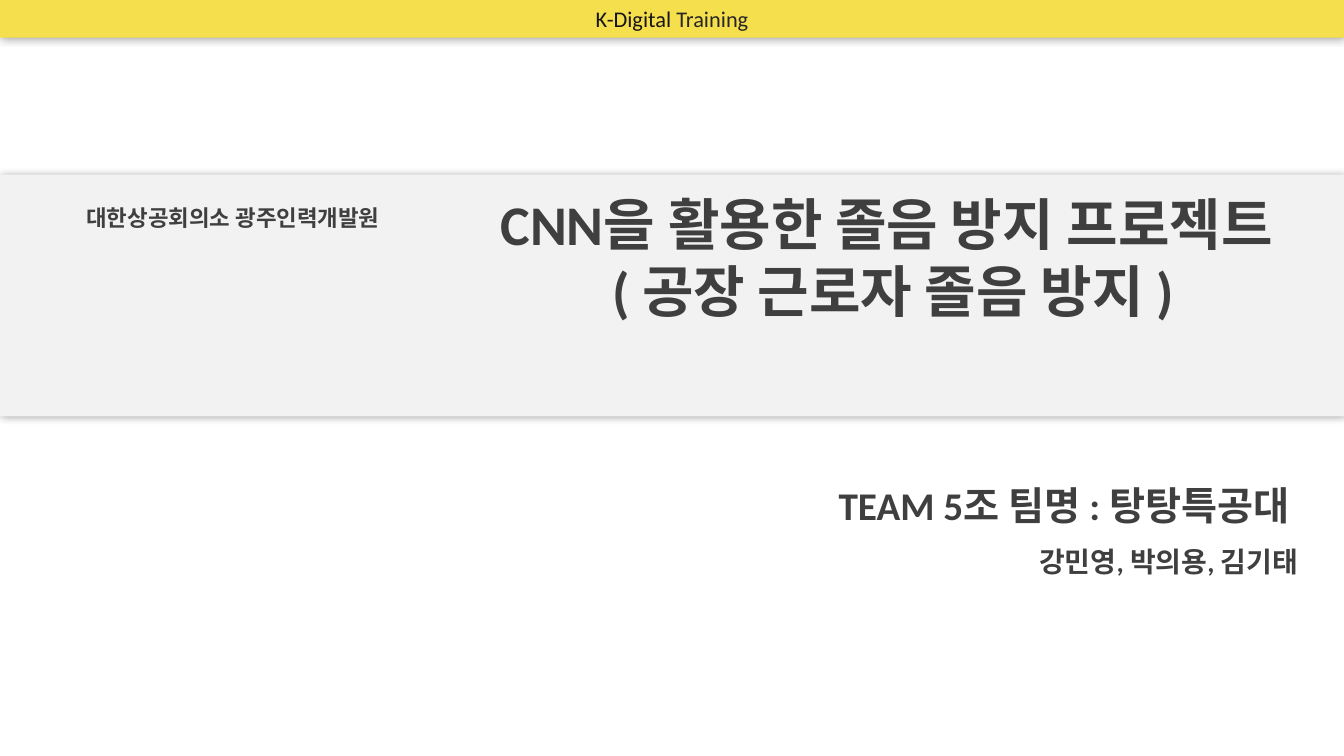
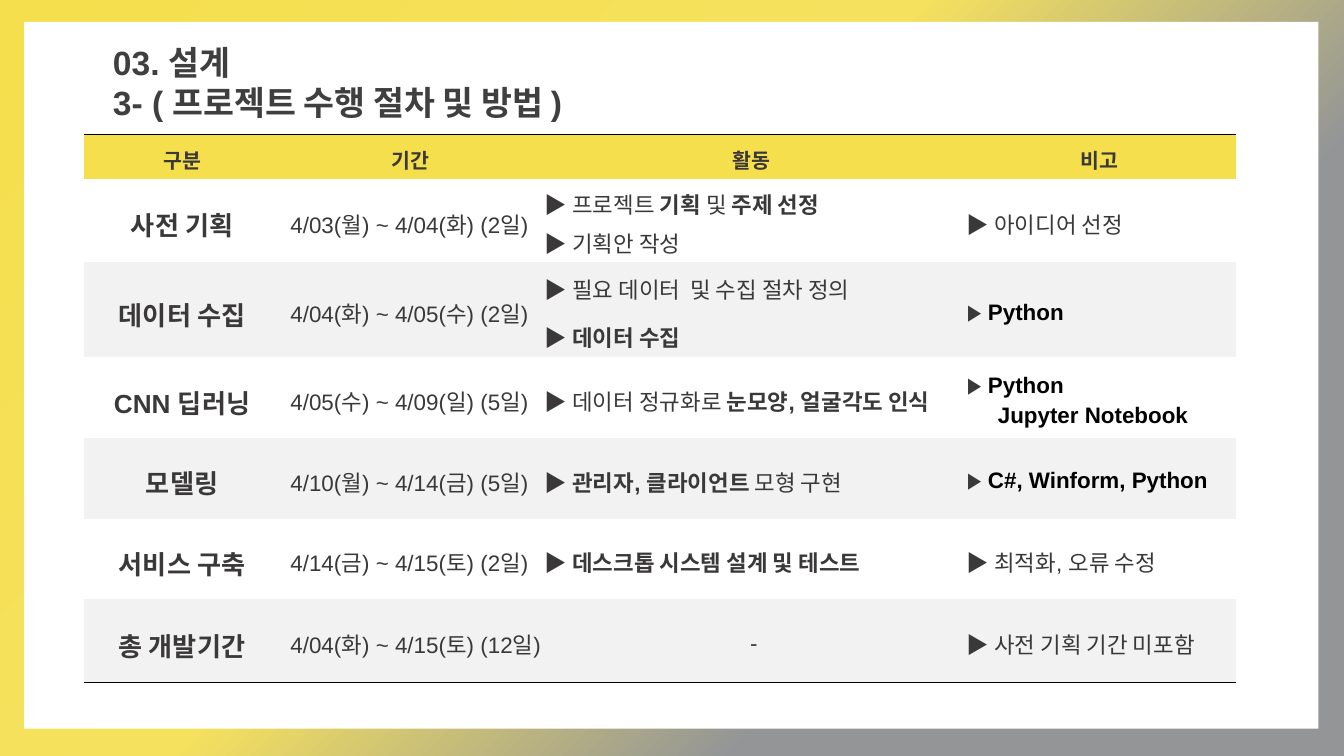
from dataclasses import dataclass

from lxml import etree
from pptx import Presentation
from pptx import util as u
from pptx.dml import color
from pptx.enum import shapes, text
from pptx.oxml import ns

W = 10
H = W * 9 / 16
PAGE = (0, 0, W, H)
YELLOW, GREY, PALE, WHITE, BLACK = "F5DF4D", "939597", "F2F2F2", "FFFFFF", "000000"
INK, TABLE_INK = "3F3F3F", "3A3838"
LEFT, CENTER, RIGHT = text.PP_ALIGN.LEFT, text.PP_ALIGN.CENTER, text.PP_ALIGN.RIGHT
INSETS = (0.07, 0.04, 0.07, 0.04)
PLAIN_TABLE = "{2D5ABB26-0587-4C30-8999-92F81FD0307C}"


@dataclass
class Run:
    """A stretch of text with one look."""
    text: str
    size: float = 12
    bold: bool = False
    hex: str = TABLE_INK
    font: str = "Arial"


def rgb(hex_color):
    """Turn a hex string into a colour."""
    return color.RGBColor.from_string(hex_color)


def sub(box, x, y, w, h):
    """Return the part of a box given in percent of its width and height."""
    left, top, width, height = box
    return (left + width * x / 100, top + height * y / 100,
            width * w / 100, height * h / 100)


def inches(values):
    """Convert numbers to inch lengths."""
    return [u.Inches(v) for v in values]


def add_xml(parent, tag, **attrs):
    """Append a drawing element to its parent."""
    return etree.SubElement(parent, ns.qn(tag), {k: str(v) for k, v in attrs.items()})


def add_color(parent, hex_color, alpha=100):
    """Append a colour, see-through below 100 percent."""
    clr = add_xml(parent, "a:srgbClr", val=hex_color)
    if alpha < 100:
        add_xml(clr, "a:alpha", val=alpha * 1000)


def fill_paragraph(p, runs, align=LEFT, spacing=None):
    """Write runs into a paragraph, with a line break for each None."""
    p.alignment = align
    if spacing:
        p.line_spacing = spacing
    for run in runs:
        if run is None:
            p.add_line_break()
            continue
        r = p.add_run()
        r.text = run.text
        r.font.size = u.Pt(run.size)
        r.font.bold = run.bold
        r.font.name = run.font
        r.font.color.rgb = rgb(run.hex)


def fill_frame(tf, paragraphs, align, spacing=None):
    """Write a list of run lists into a text frame."""
    for i, runs in enumerate(paragraphs):
        p = tf.add_paragraph() if i else tf.paragraphs[0]
        fill_paragraph(p, runs, align, spacing)


def set_insets(holder, insets):
    """Set the inner margins of a text frame or cell."""
    (holder.margin_left, holder.margin_top,
     holder.margin_right, holder.margin_bottom) = inches(insets)


def add_label(s, box, paragraphs, align=LEFT, spacing=None, insets=INSETS):
    """Add a text box that grows with its text."""
    tf = s.shapes.add_textbox(*inches(box)).text_frame
    tf.word_wrap = True
    tf.auto_size = text.MSO_AUTO_SIZE.SHAPE_TO_FIT_TEXT
    set_insets(tf, insets)
    fill_frame(tf, paragraphs, align, spacing)


def add_band(s, box, hex_color, shadow=True):
    """Add a plain rectangle, with a soft shadow if wanted."""
    sp = s.shapes.add_shape(shapes.MSO_SHAPE.RECTANGLE, *inches(box))
    sp.fill.solid()
    sp.fill.fore_color.rgb = rgb(hex_color)
    sp.line.fill.background()
    sp.shadow.inherit = False
    if shadow:
        effects = sp._element.spPr.find(ns.qn("a:effectLst"))
        glow = add_xml(effects, "a:outerShdw", blurRad=u.Pt(5), dist=0, dir=0,
                       algn="ctr", rotWithShape=0)
        add_color(glow, BLACK, 40)
    return sp


def add_header(s, box):
    """Add the yellow programme strip."""
    tf = add_band(s, box, YELLOW).text_frame
    tf.vertical_anchor = text.MSO_ANCHOR.MIDDLE
    set_insets(tf, INSETS)
    runs = [Run("K-Digital ", 12, False, "171616", "Calibri"),
            Run("Training", 12, False, "262626", "Calibri")]
    fill_frame(tf, [runs], CENTER)


def add_project_band(s, box):
    """Add the grey band with the institute and the project title."""
    add_band(s, box, PALE)
    add_label(s, sub(box, 1.5, 10, 31.7, 15.5),
              [[Run("대한상공회의소 광주인력개발원", 12, True, INK, "Noto Sans CJK KR")]],
              CENTER)
    lines = ["CNN을 활용한 졸음 방지 프로젝트 ", "( 공장 근로자 졸음 방지 )"]
    add_label(s, sub(box, 35, 6.2, 62.9, 84.5),
              [[Run(line, 30, True, INK, "Calibri")] for line in lines],
              CENTER, insets=(0.07, 0, 0.07, 0))


def add_team(s, box):
    """Add the team name and its members."""
    lines = [("TEAM 5조 팀명 : 탕탕특공대 ", 21), ("강민영, 박의용, 김기태", 15)]
    add_label(s, box, [[Run(line, size, True, INK, "Calibri")] for line, size in lines],
              RIGHT, 1.5, (0.07, 0, 0.07, 0))


def build_cover(prs):
    """Build the cover slide."""
    s = prs.slides.add_slide(prs.slide_layouts[6])
    add_team(s, sub(PAGE, 55, 60.5, 42.3, 13.9))
    add_project_band(s, sub(PAGE, 0, 23.1, 100, 32))
    add_header(s, sub(PAGE, 0, 0, 100, 5))


def set_background(s):
    """Paint the slide with the diagonal yellow to grey gradient."""
    s.background.fill.gradient()
    grad = s.background._cSld.bg.bgPr.find(ns.qn("a:gradFill"))
    for child in list(grad):
        grad.remove(child)
    stops = add_xml(grad, "a:gsLst")
    for pos, hex_color, alpha in [(0, YELLOW, 100), (44, "F5E15E", 69),
                                  (71, GREY, 69), (100, GREY, 100)]:
        add_color(add_xml(stops, "a:gs", pos=pos * 1000), hex_color, alpha)
    add_xml(grad, "a:lin", ang=45 * 60000, scaled=0)


def set_rule(cell, side):
    """Draw a thin black rule on one side of a cell."""
    pr = cell._tc.get_or_add_tcPr()
    ln = etree.Element(ns.qn(side), w=str(u.Pt(0.75)))
    add_color(add_xml(ln, "a:solidFill"), BLACK)
    pr.insert(0, ln)


def fill_cell(cell, hex_color, paragraphs, align=LEFT, insets=(0.03, 0, 0, 0)):
    """Colour a cell and write its paragraphs."""
    cell.fill.solid()
    cell.fill.fore_color.rgb = rgb(hex_color)
    cell.vertical_anchor = text.MSO_ANCHOR.MIDDLE
    set_insets(cell, insets)
    fill_frame(cell.text_frame, paragraphs, align, 1.2)


def item(*runs):
    """Return the runs of a line that starts with an arrow mark."""
    return [Run("▶ ", bold=True), *runs]


def strong(words, hex_color=TABLE_INK):
    """Return a bold run."""
    return Run(words, bold=True, hex=hex_color)


HEADS = ["구분", "기간", "활동", "비고"]
COLUMNS = [1.46, 1.94, 3.14, 2.03]
ROWS = [0.33, 0.62, 0.71, 0.6, 0.6, 0.6, 0.62]
STEPS = [
    ("사전 기획", " 4/03(월) ~ 4/04(화) (2일)",
     [item(Run("프로젝트 "), strong("기획"), Run(" 및 "), strong("주제 선정")),
      item(Run("기획안 작성"))],
     [item(Run("아이디어 선정"))]),
    ("데이터 수집", " 4/04(화) ~ 4/05(수) (2일)",
     [item(Run("필요 데이터  및 수집 절차 정의", font="Calibri")), item(strong("데이터 수집"))],
     [item(strong("Python", BLACK))]),
    ("CNN 딥러닝", " 4/05(수) ~ 4/09(일) (5일)",
     [item(Run("데이터 정규화", font="Calibri"), Run("로 "), strong("눈모양, 얼굴각도 인식"))],
     [item(strong("Python ", BLACK), None, strong("Jupyter Notebook", BLACK))]),
    ("모델링", " 4/10(월) ~ 4/14(금) (5일)",
     [item(strong("관리자, 클라이언트 "), Run("모형 구현"))],
     [item(strong("C#, Winform, Python", BLACK))]),
    ("서비스 구축", " 4/14(금) ~ 4/15(토) (2일)",
     [item(strong("데스크톱 시스템 설계 및 테스트"))],
     [item(Run("최적화, 오류 수정"))]),
    ("총 개발기간", " 4/04(화) ~ 4/15(토) (12일)",
     [[Run("-")]],
     [item(Run("사전 기획 기간 미포함"))]),
]


def add_schedule(s, box):
    """Add the table of project steps."""
    table = s.shapes.add_table(len(ROWS), len(COLUMNS), *inches(box)).table
    table.first_row = table.horz_banding = False
    table._tbl.tblPr.find(ns.qn("a:tableStyleId")).text = PLAIN_TABLE
    for column, width in zip(table.columns, COLUMNS):
        column.width = u.Inches(box[2] * width / sum(COLUMNS))
    for row, height in zip(table.rows, ROWS):
        row.height = u.Inches(box[3] * height / sum(ROWS))
    padded = (0.07, 0.03, 0.07, 0.03)
    for col, head in enumerate(HEADS):
        fill_cell(table.cell(0, col), YELLOW, [[Run(head, 11, True)]], CENTER, padded)
        set_rule(table.cell(0, col), "a:lnT")
    for row, (step, period, work, note) in enumerate(STEPS, 1):
        shade = WHITE if row % 2 else PALE
        fill_cell(table.cell(row, 0), shade, [[Run(step, 14, True)]], CENTER, padded)
        fill_cell(table.cell(row, 1), shade, [[Run(period)]])
        fill_cell(table.cell(row, 2), shade, work, CENTER if row == len(STEPS) else LEFT)
        fill_cell(table.cell(row, 3), shade, note)
    table.cell(2, 2).text_frame.paragraphs[1].space_before = u.Pt(5)
    tools = table.cell(3, 3).text_frame.paragraphs[0]._p.get_or_add_pPr()
    tools.set("marL", str(u.Inches(0.23)))
    tools.set("indent", str(-u.Inches(0.23)))
    for col in range(len(COLUMNS)):
        set_rule(table.cell(len(STEPS), col), "a:lnB")


def build_schedule(prs):
    """Build the slide with the project procedure."""
    s = prs.slides.add_slide(prs.slide_layouts[6])
    set_background(s)
    add_band(s, sub(PAGE, 1.8, 2.9, 96.3, 93.5), WHITE, shadow=False)
    add_schedule(s, sub(PAGE, 6.25, 17.8, 85.7, 72.5))
    lines = ["03. 설계", "3- ( 프로젝트 수행 절차 및 방법 )"]
    add_label(s, sub(PAGE, 7.7, 4.8, 39.5, 12.1),
              [[Run(line, 18, True, INK)] for line in lines])


def main():
    """Build and save the deck."""
    prs = Presentation()
    prs.slide_width, prs.slide_height = inches((W, H))
    build_cover(prs)
    build_schedule(prs)
    prs.save("out.pptx")


if __name__ == "__main__":
    main()
